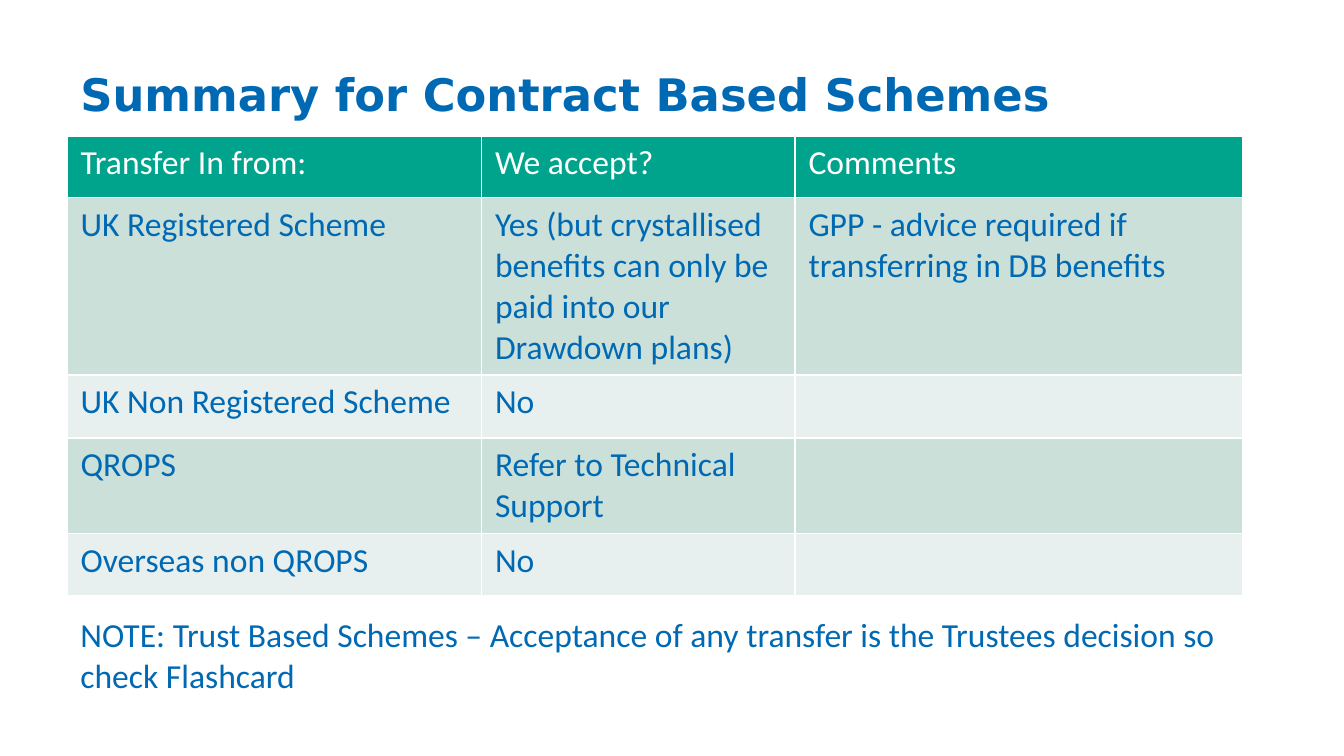
from dataclasses import dataclass

from lxml import etree
from pptx import Presentation
from pptx.dml.color import RGBColor
from pptx.enum.text import MSO_ANCHOR
from pptx.oxml.ns import qn
from pptx.util import Pt

EMU_PER_PX = 9525  # 96 px to the inch
MIDDLE, TOP = MSO_ANCHOR.MIDDLE, MSO_ANCHOR.TOP
COLORS = {
    "blue": "0069B4",
    "white": "FFFFFF",
    "header": "00A48C",
    "band_dark": "CCE0DA",
    "band_light": "E7F0EE",
}
BODY_FONT, TITLE_FONT = "Calibri", "DejaVu Sans"


@dataclass(frozen=True)
class TextBlock:
    text: str
    left: int
    top: int
    width: int
    height: int
    font: str = BODY_FONT
    size: int = 18
    bold: bool = False
    anchor: MSO_ANCHOR = TOP


@dataclass(frozen=True)
class TableRow:
    height: int
    cells: tuple[str, str, str]


TITLE = TextBlock("Summary for Contract Based Schemes", 48, 22, 864, 90,
                  TITLE_FONT, 24, True, MIDDLE)
NOTE = TextBlock("NOTE: Trust Based Schemes – Acceptance of any transfer is "
                 "the Trustees decision so check Flashcard", 48, 434, 832, 68)
COLUMN_WIDTHS = (296, 224, 320)
ROWS = (
    TableRow(44, ("Transfer In from:", "We accept?", "Comments")),
    TableRow(127, ("UK Registered Scheme",
                   "Yes (but crystallised benefits can only be paid into our Drawdown plans)",
                   "GPP - advice required if transferring in DB benefits")),
    TableRow(45, ("UK Non Registered Scheme", "No", "")),
    TableRow(68, ("QROPS", "Refer to Technical Support", "")),
    TableRow(45, ("Overseas non QROPS", "No", "")),
)


def px(value: int) -> int:
    return value * EMU_PER_PX


def color(name: str) -> RGBColor:
    return RGBColor.from_string(COLORS[name])


def format_text(text_frame, font: str, size: int, color_name: str, bold: bool = False) -> None:
    for paragraph in text_frame.paragraphs:
        for run in paragraph.runs:
            run.font.name = font
            run.font.size = Pt(size)
            run.font.bold = bold
            run.font.color.rgb = color(color_name)


def add_text(slide, block: TextBlock) -> None:
    shape = slide.shapes.add_textbox(px(block.left), px(block.top),
                                     px(block.width), px(block.height))
    text_frame = shape.text_frame
    text_frame.word_wrap = True
    text_frame.vertical_anchor = block.anchor
    text_frame.text = block.text
    format_text(text_frame, block.font, block.size, "blue", block.bold)


def set_borders(cell) -> None:
    properties = cell._tc.get_or_add_tcPr()
    # Border lines must come before the fill
    for index, side in enumerate("LRTB"):
        line = etree.Element(qn(f"a:ln{side}"), w=str(Pt(1)))
        fill = etree.SubElement(line, qn("a:solidFill"))
        etree.SubElement(fill, qn("a:srgbClr"), val=COLORS["white"])
        properties.insert(index, line)


def add_scheme_table(slide, left: int, top: int) -> None:
    height = sum(row.height for row in ROWS)
    table = slide.shapes.add_table(len(ROWS), len(COLUMN_WIDTHS), px(left), px(top),
                                   px(sum(COLUMN_WIDTHS)), px(height)).table
    for column, width in zip(table.columns, COLUMN_WIDTHS):
        column.width = px(width)
    for row_index, row in enumerate(ROWS):
        table.rows[row_index].height = px(row.height)
        is_header = row_index == 0
        band = "band_dark" if row_index % 2 else "band_light"
        for column_index, text in enumerate(row.cells):
            cell = table.cell(row_index, column_index)
            cell.text_frame.text = text
            format_text(cell.text_frame, BODY_FONT, 18, "white" if is_header else "blue")
            cell.fill.solid()
            cell.fill.fore_color.rgb = color("header" if is_header else band)
            set_borders(cell)


def main() -> None:
    presentation = Presentation()
    presentation.slide_width, presentation.slide_height = px(960), px(540)
    slide = presentation.slides.add_slide(presentation.slide_layouts[6])

    # Title, table of schemes, closing note
    add_text(slide, TITLE)
    add_scheme_table(slide, 48, 97)
    add_text(slide, NOTE)

    presentation.save("out.pptx")


if __name__ == "__main__":
    main()
